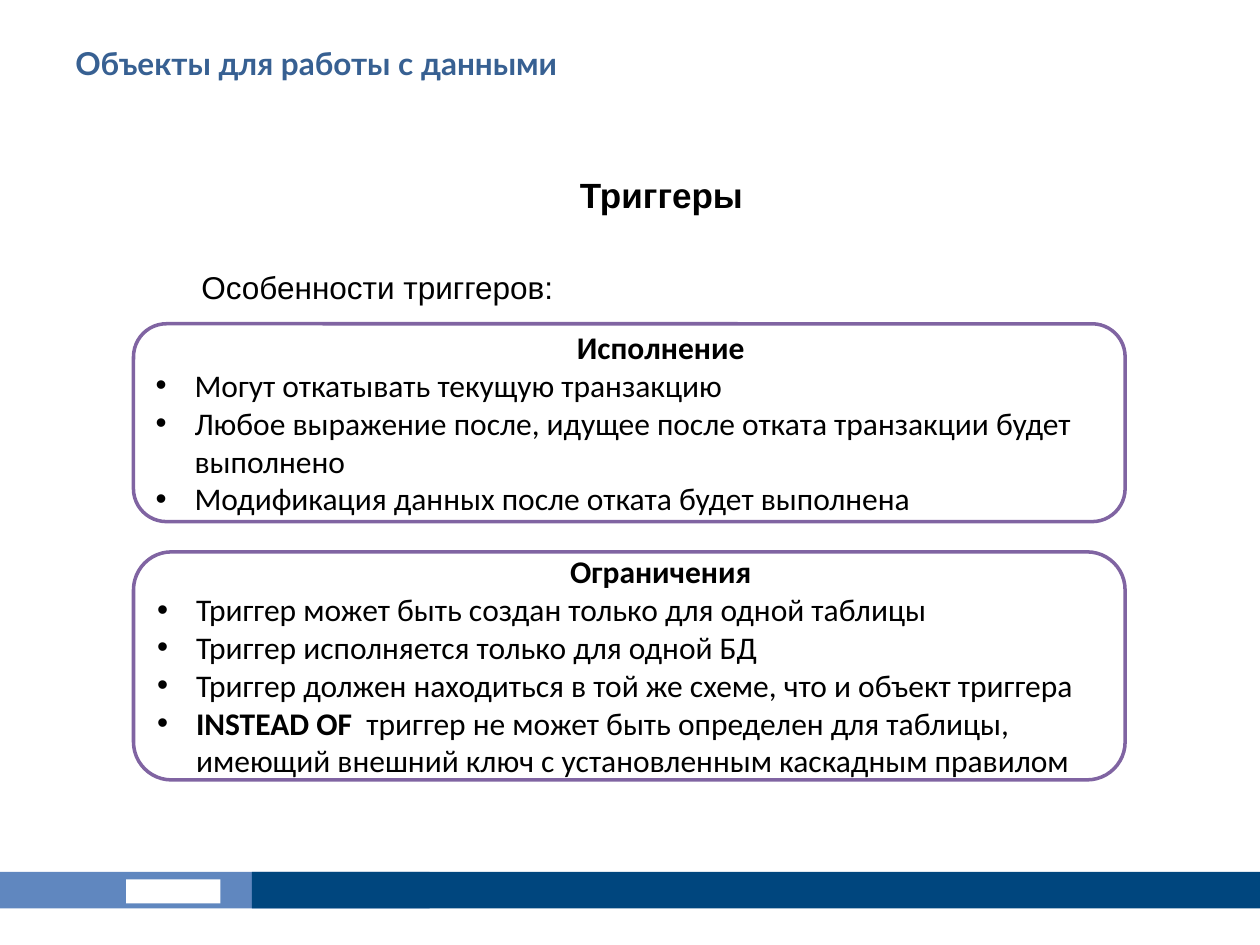
import pptx
import pptx.util
import pptx.dml.color
import pptx.enum.shapes
import pptx.enum.text
import pptx.oxml.ns
import lxml.etree

Inches = pptx.util.Inches
Pt = pptx.util.Pt
RGBColor = pptx.dml.color.RGBColor
SHAPE = pptx.enum.shapes.MSO_SHAPE
ALIGN = pptx.enum.text.PP_ALIGN
ANCHOR = pptx.enum.text.MSO_ANCHOR

WHITE = RGBColor(0xFF, 0xFF, 0xFF)
BLACK = RGBColor(0x00, 0x00, 0x00)
LIGHT_BLUE = RGBColor(0x60, 0x87, 0xBF)
DARK_BLUE = RGBColor(0x00, 0x46, 0x7E)
TITLE_BLUE = RGBColor(0x37, 0x60, 0x92)
PURPLE = RGBColor(0x80, 0x64, 0xA2)


def add_block(kind, left, top, width, height, fill):
    block = slide.shapes.add_shape(
        kind, Inches(left), Inches(top), Inches(width), Inches(height))
    block.shadow.inherit = False
    block.fill.solid()
    block.fill.fore_color.rgb = fill
    block.line.fill.background()
    return block


def add_run(paragraph, text, font, size, color, bold=False):
    run = paragraph.add_run()
    run.text = text
    run.font.name = font
    run.font.size = Pt(size)
    run.font.color.rgb = color
    run.font.bold = bold


deck = pptx.Presentation()
deck.slide_width = Inches(10)
deck.slide_height = Inches(7.5)
slide = deck.slides.add_slide(deck.slide_layouts[6])

add_block(SHAPE.RECTANGLE, -0.02, 6.92, 3.43, 0.29, LIGHT_BLUE)
add_block(SHAPE.RECTANGLE, 1, 6.98, 0.75, 0.19, WHITE)
add_block(SHAPE.RECTANGLE, 2, 6.92, 8, 0.29, DARK_BLUE)

title = slide.shapes.add_textbox(Inches(0.5), Inches(0.3), Inches(9), Inches(0.78))
title.text_frame.word_wrap = True
add_run(title.text_frame.paragraphs[0], "Объекты для работы с данными",
        "Lato", 18, TITLE_BLUE, True)

intro = slide.shapes.add_textbox(Inches(1), Inches(1.33), Inches(8), Inches(5.25))
intro.text_frame.word_wrap = True
heading = intro.text_frame.paragraphs[0]
heading.alignment = ALIGN.CENTER
heading.space_before = Pt(4)
add_run(heading, "Триггеры", "Arial", 20, BLACK, True)
features = intro.text_frame.add_paragraph()
features.alignment = ALIGN.JUSTIFY
features.space_before = Pt(30)
add_run(features, "Особенности триггеров:", "Arial", 18, BLACK)
for paragraph in (heading, features):
    paragraph._p.get_or_add_pPr().set("indent", str(Inches(0.5)))

panels = [
    (2.57, 1.57, "Исполнение", [
        [("Могут откатывать текущую транзакцию", False)],
        [("Любое выражение после, идущее после отката транзакции будет выполнено", False)],
        [("Модификация данных после отката будет выполнена", False)],
    ]),
    (4.38, 1.81, "Ограничения", [
        [("Триггер может быть создан только для одной таблицы", False)],
        [("Триггер исполняется только для одной БД", False)],
        [("Триггер должен находиться в той же схеме, что и объект триггера", False)],
        [("INSTEAD OF  ", True),
         ("триггер не может быть определен для таблицы, "
          "имеющий внешний ключ с установленным каскадным правилом", False)],
    ]),
]

for top, height, caption, points in panels:
    panel = add_block(SHAPE.ROUNDED_RECTANGLE, 1.06, top, 7.87, height, WHITE)
    panel.line.color.rgb = PURPLE
    panel.line.width = Pt(2)
    frame = panel.text_frame
    frame.word_wrap = True
    frame.vertical_anchor = ANCHOR.MIDDLE
    caption_line = frame.paragraphs[0]
    caption_line.alignment = ALIGN.CENTER
    caption_line._p.get_or_add_pPr().set("indent", str(Inches(0.5)))
    add_run(caption_line, caption, "Calibri", 18, BLACK, True)
    for point in points:
        item = frame.add_paragraph()
        item.alignment = ALIGN.LEFT
        properties = item._p.get_or_add_pPr()
        properties.set("marL", str(Inches(0.31)))
        properties.set("indent", str(Inches(-0.31)))
        bullet_font = lxml.etree.SubElement(properties, pptx.oxml.ns.qn("a:buFont"))
        bullet_font.set("typeface", "Arial")
        bullet = lxml.etree.SubElement(properties, pptx.oxml.ns.qn("a:buChar"))
        bullet.set("char", "•")
        for text, bold in point:
            add_run(item, text, "Calibri", 18, BLACK, bold)

deck.save("out.pptx")
